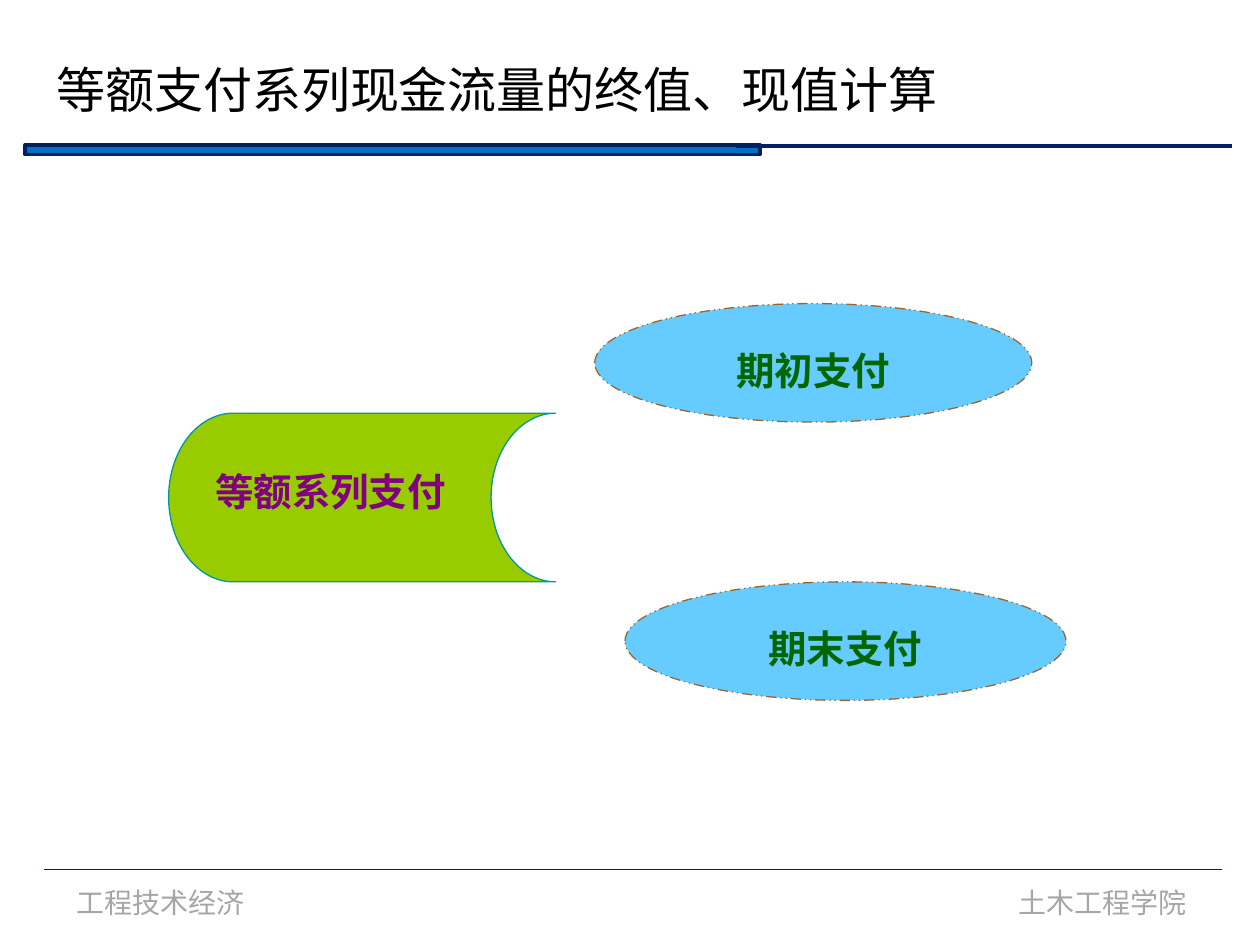
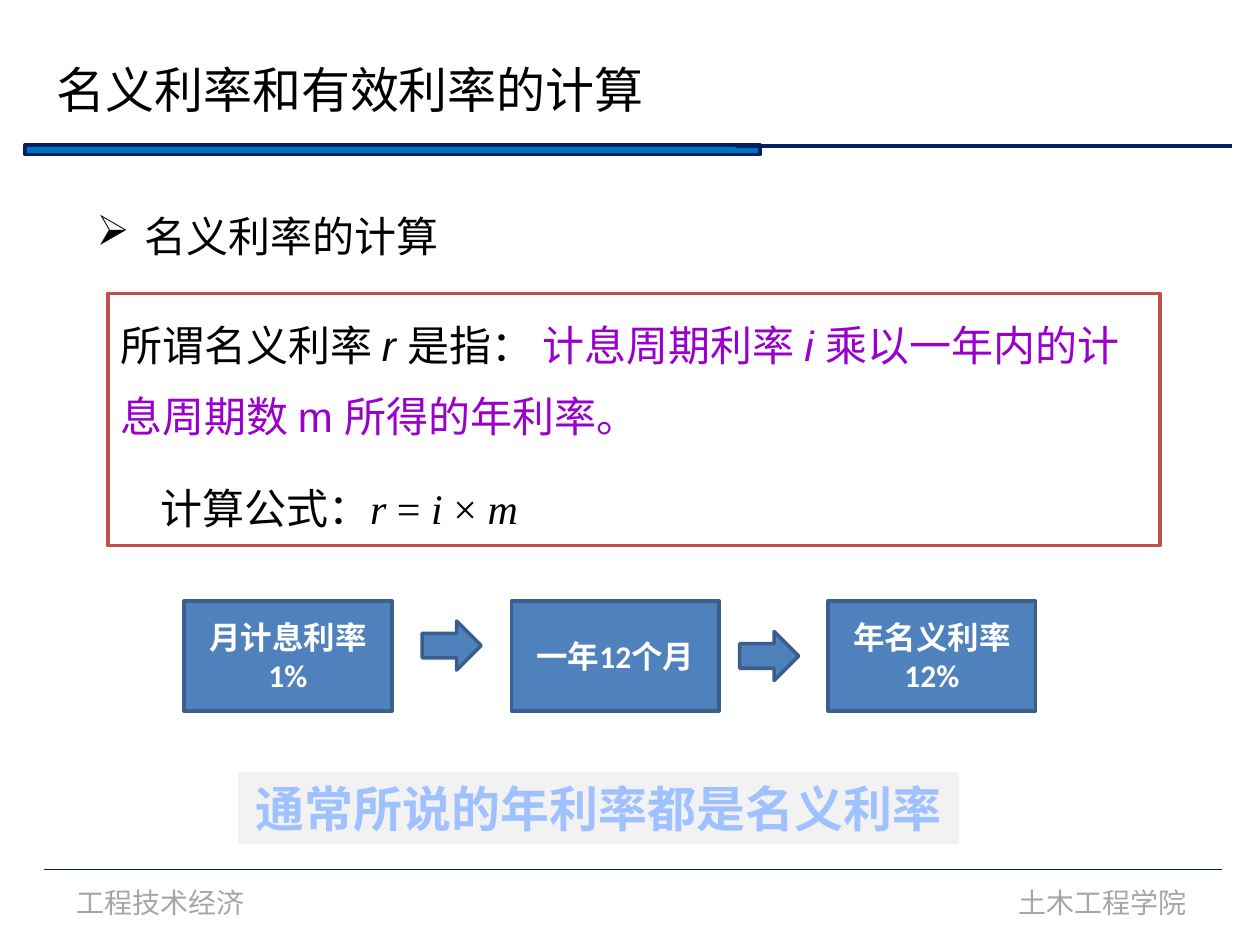
from dataclasses import dataclass
from typing import Optional

from lxml import etree
from pptx import Presentation
from pptx.dml.color import RGBColor
from pptx.enum.dml import MSO_LINE
from pptx.enum.shapes import MSO_CONNECTOR, MSO_SHAPE
from pptx.enum.text import MSO_ANCHOR, PP_ALIGN
from pptx.oxml.ns import qn
from pptx.util import Cm, Pt

RECTANGLE = MSO_SHAPE.RECTANGLE
ELLIPSE = MSO_SHAPE.OVAL
STORAGE = MSO_SHAPE.FLOWCHART_STORED_DATA
RIGHT_ARROW = MSO_SHAPE.RIGHT_ARROW
STRAIGHT = MSO_CONNECTOR.STRAIGHT
DASH_DOT_DOT = MSO_LINE.DASH_DOT_DOT
TOP, MIDDLE = MSO_ANCHOR.TOP, MSO_ANCHOR.MIDDLE
LEFT, CENTER = PP_ALIGN.LEFT, PP_ALIGN.CENTER

CJK_FONT = "Noto Sans CJK SC"
COLORS = {
    "black": "000000", "white": "FFFFFF", "band": "0070C0", "navy": "002060",
    "footer": "A6A6A6", "sky": "66CCFF", "brown": "996633", "green": "006600",
    "lime": "99CC00", "teal": "009999", "purple": "800080", "red": "C0504D",
    "violet": "9900CC", "step": "4F81BD", "step_edge": "3A5F8C",
    "note": "F2F2F2", "note_text": "A0C1FF",
}


@dataclass(frozen=True)
class Frame:
    left: float
    top: float
    width: float
    height: float

    def lengths(self) -> tuple:
        return Cm(self.left), Cm(self.top), Cm(self.width), Cm(self.height)


@dataclass(frozen=True)
class Rule:
    left: float
    right: float
    height: float
    weight: float


@dataclass(frozen=True)
class Span:
    text: str
    color: Optional[str] = None
    font: Optional[str] = None
    italic: bool = False


@dataclass(frozen=True)
class Step:
    left: float
    lines: tuple


RULES = (Rule(14.83, 24.84, 2.95, 2.25), Rule(0.89, 24.64, 17.53, 0.75))
FOOTERS = ((1.3, "工程技术经济"), (20.29, "土木工程学院"))
PAYMENTS = (
    (Frame(11.99, 6.12, 8.81, 2.39), "期初支付"),
    (Frame(12.6, 11.73, 8.89, 2.39), "期末支付"),
)
STEPS = (
    Step(3.71, ("月计息利率", "1%")),
    Step(10.31, ("一年12个月",)),
    Step(16.69, ("年名义利率", "12%")),
)
ARROWS = (Frame(8.51, 12.52, 1.19, 0.99), Frame(14.91, 12.73, 1.19, 0.99))
DEFINITION = (
    Span("所谓名义利率 "),
    Span("r ", italic=True),
    Span("是指： "),
    Span("计息周期利率 ", "violet"),
    Span("i ", "violet", italic=True),
    Span("乘以一年内的计息周期数 m 所得的年利率。", "violet"),
)
SERIF = "Times New Roman"
FORMULA = (
    Span("计算公式："),
    Span("r", font=SERIF, italic=True),
    Span(" = ", font=SERIF),
    Span("i ", font=SERIF, italic=True),
    Span("× ", font=SERIF),
    Span("m", font=SERIF, italic=True),
)


def rgb(name: str) -> RGBColor:
    return RGBColor.from_string(COLORS[name])


def add_figure(page, kind, frame: Frame, fill: str, edge: Optional[str] = None,
               weight: float = 0.75, dash=None):
    figure = page.shapes.add_shape(kind, *frame.lengths())
    figure.shadow.inherit = False
    figure.fill.solid()
    figure.fill.fore_color.rgb = rgb(fill)
    if edge is None:
        figure.line.fill.background()
    else:
        figure.line.color.rgb = rgb(edge)
        figure.line.width = Pt(weight)
        if dash is not None:
            figure.line.dash_style = dash
    return figure


def add_rule(page, rule: Rule) -> None:
    line = page.shapes.add_connector(
        STRAIGHT, Cm(rule.left), Cm(rule.height), Cm(rule.right), Cm(rule.height))
    line.line.color.rgb = rgb("navy")
    line.line.width = Pt(rule.weight)
    etree.SubElement(line._element.spPr, qn("a:effectLst"))


def write(box, *paragraphs, size: float, font: str, color: str = "black",
          bold: bool = False, align=LEFT, anchor=TOP, wrap: bool = True,
          spacing: Optional[float] = None, before: float = 0) -> None:
    frame = box.text_frame
    frame.word_wrap = wrap
    frame.vertical_anchor = anchor
    for index, content in enumerate(paragraphs):
        para = frame.add_paragraph() if index else frame.paragraphs[0]
        para.alignment = align
        para.space_before = Pt(before)
        if spacing is not None:
            para.line_spacing = spacing
        spans = (Span(content),) if isinstance(content, str) else content
        for span in spans:
            run = para.add_run()
            run.text = span.text
            run.font.size = Pt(size)
            run.font.bold = bold
            run.font.italic = span.italic
            run.font.name = span.font or font
            run.font.color.rgb = rgb(span.color or color)
            east_asian = etree.Element(qn("a:ea"), typeface=CJK_FONT)
            run.font._element.find(qn("a:latin")).addnext(east_asian)


def add_text(page, frame: Frame, text: str, **style):
    box = page.shapes.add_textbox(*frame.lengths())
    write(box, text, wrap=False, **style)
    return box


def indent(para, margin: float, first: float = 0, bullet: str = "") -> None:
    properties = para._p.get_or_add_pPr()
    properties.set("marL", str(Cm(margin)))
    properties.set("indent", str(Cm(first)))
    if bullet:
        etree.SubElement(properties, qn("a:buChar"), char=bullet)


def add_page(deck, title: str):
    page = deck.slides.add_slide(deck.slide_layouts[6])
    add_figure(page, RECTANGLE, Frame(0.51, 2.92, 14.81, 0.2), "band", "navy", 2)
    for rule in RULES:
        add_rule(page, rule)
    for left, text in FOOTERS:
        add_text(page, Frame(left, 17.73, 3.94, 0.94), text,
                 size=16, font="Calibri", color="footer")
    add_text(page, Frame(0.89, 1.07, len(title) + 0.47, 1.45), title,
             size=28, font=CJK_FONT)
    return page


def build_payment_page(deck) -> None:
    page = add_page(deck, "等额支付系列现金流量的终值、现值计算")
    for frame, text in PAYMENTS:
        ellipse = add_figure(page, ELLIPSE, frame, "sky", "brown", dash=DASH_DOT_DOT)
        write(ellipse, text, size=22, font="Arial", color="green", bold=True,
              align=CENTER, anchor=MIDDLE, wrap=False, spacing=1.3, before=4.4)
    add_figure(page, STORAGE, Frame(3.4, 8.33, 7.8, 3.4), "lime", "teal")
    label = add_figure(page, RECTANGLE, Frame(4.09, 9.32, 5.51, 1.19), "lime")
    write(label, "等额系列支付", size=22, font="Arial", color="purple",
          bold=True, before=11)


def build_rate_page(deck) -> None:
    page = add_page(deck, "名义利率和有效利率的计算")
    heading = add_text(page, Frame(1.7, 4.11, 7.47, 1.27), "名义利率的计算",
                       size=24, font=CJK_FONT)
    indent(heading.text_frame.paragraphs[0], 0.97, -0.97, "➢")

    panel = add_figure(page, RECTANGLE, Frame(2.18, 5.92, 21.21, 5.08),
                       "white", "red", 2)
    write(panel, DEFINITION, FORMULA, size=24, font="Arial", spacing=1.4, before=12)
    indent(panel.text_frame.paragraphs[1], 0.8)

    for step in STEPS:
        box = add_figure(page, RECTANGLE, Frame(step.left, 12.12, 4.19, 2.21),
                         "step", "step_edge", 2)
        write(box, *step.lines, size=18, font="Calibri", color="white",
              bold=True, align=CENTER, anchor=MIDDLE)
    for frame in ARROWS:
        add_figure(page, RIGHT_ARROW, frame, "step", "step_edge", 2)

    note = add_figure(page, RECTANGLE, Frame(4.8, 15.57, 14.53, 1.45), "note")
    write(note, "通常所说的年利率都是名义利率", size=28, font="Calibri",
          color="note_text", bold=True, align=CENTER, wrap=False)


def main() -> None:
    deck = Presentation()
    deck.slide_width, deck.slide_height = Cm(25.4), Cm(19.05)
    build_payment_page(deck)
    build_rate_page(deck)
    deck.save("out.pptx")


if __name__ == "__main__":
    main()
